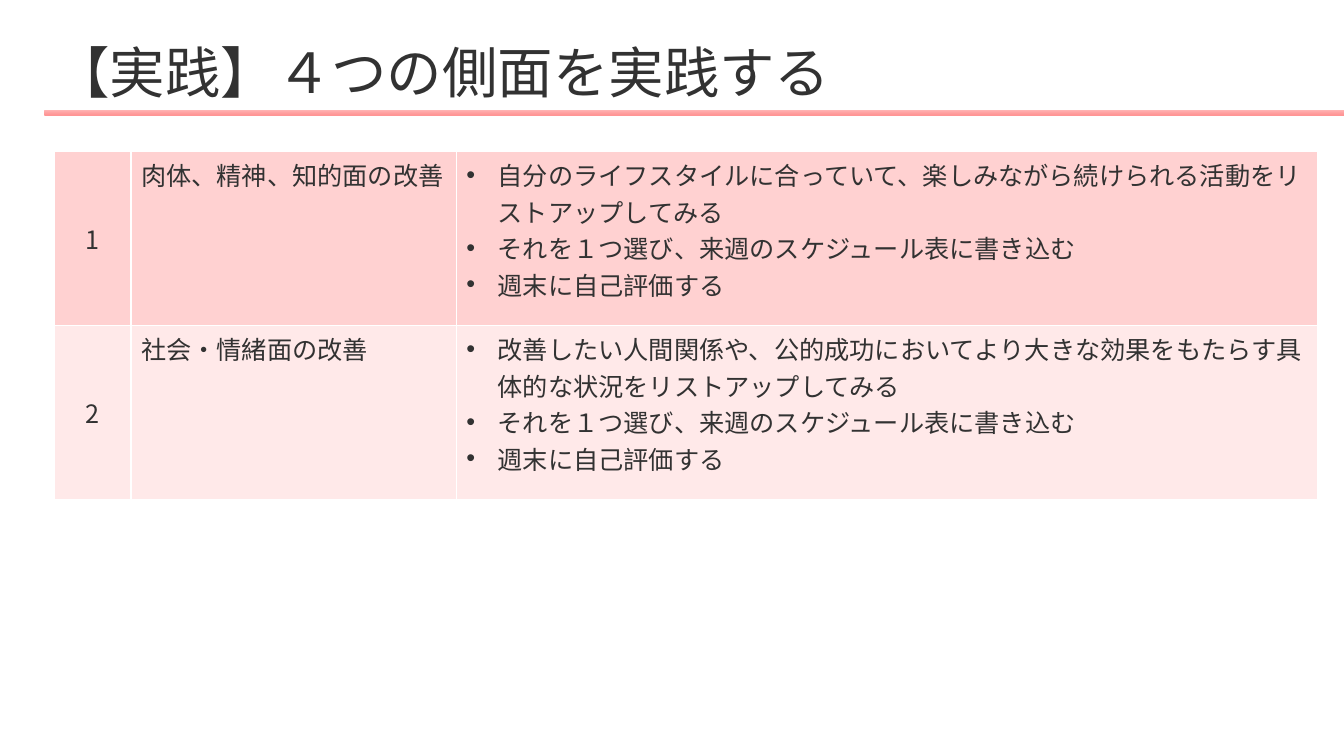
from dataclasses import dataclass

from lxml import etree
from pptx import Presentation
from pptx.dml.color import RGBColor
from pptx.enum.shapes import MSO_SHAPE
from pptx.enum.text import MSO_ANCHOR, PP_ALIGN
from pptx.oxml.ns import qn
from pptx.util import Cm, Pt

RECTANGLE = MSO_SHAPE.RECTANGLE
TOP, MIDDLE = MSO_ANCHOR.TOP, MSO_ANCHOR.MIDDLE
LEFT, CENTER = PP_ALIGN.LEFT, PP_ALIGN.CENTER
BLANK_LAYOUT = 6


@dataclass(frozen=True)
class Theme:
    font: str = "Noto Sans CJK JP"
    text: str = "323232"
    rule_top: str = "FFB4B4"
    rule_bottom: str = "FF9595"
    row_fills: tuple = ("FFD1D1", "FFE9E9")
    border: str = "FFFFFF"
    title_size: float = 39.6
    body_size: float = 18


THEME = Theme()

TITLE = "【実践】４つの側面を実践する"
COMMON_STEPS = ["それを１つ選び、来週のスケジュール表に書き込む", "週末に自己評価する"]
PRACTICES = [
    ("肉体、精神、知的面の改善",
     "自分のライフスタイルに合っていて、楽しみながら続けられる活動をリストアップしてみる"),
    ("社会・情緒面の改善",
     "改善したい人間関係や、公的成功においてより大きな効果をもたらす具体的な状況をリストアップしてみる"),
]


def add_run(paragraph, text, size):
    run = paragraph.add_run()
    run.text = text
    run.font.size = Pt(size)
    run.font.name = THEME.font
    run.font.color.rgb = RGBColor.from_string(THEME.text)
    east_asian = etree.SubElement(run.font._element, qn("a:ea"))
    east_asian.set("typeface", THEME.font)


def add_bullet(paragraph):
    properties = paragraph._p.get_or_add_pPr()
    indent = Cm(0.79)
    properties.set("marL", str(indent))
    properties.set("indent", str(-indent))
    etree.SubElement(properties, qn("a:buFont")).set("typeface", "Arial")
    etree.SubElement(properties, qn("a:buChar")).set("char", "•")


def add_borders(cell):
    properties = cell._tc.get_or_add_tcPr()
    for side in ("a:lnL", "a:lnR", "a:lnT", "a:lnB"):
        line = etree.SubElement(properties, qn(side), w=str(Pt(1)))
        fill = etree.SubElement(line, qn("a:solidFill"))
        etree.SubElement(fill, qn("a:srgbClr"), val=THEME.border)


def fill_cell(cell, lines, color, anchor=TOP, alignment=LEFT, bulleted=False):
    add_borders(cell)
    cell.fill.solid()
    cell.fill.fore_color.rgb = RGBColor.from_string(color)
    cell.vertical_anchor = anchor
    frame = cell.text_frame
    for index, line in enumerate(lines):
        paragraph = frame.add_paragraph() if index else frame.paragraphs[0]
        paragraph.alignment = alignment
        if bulleted:
            add_bullet(paragraph)
        add_run(paragraph, line, THEME.body_size)


def add_heading(slide, left, top, width, height):
    # Rule below the title, running to the right edge of the slide
    rule = slide.shapes.add_shape(
        RECTANGLE, left, top + Cm(1.78), width, Cm(0.13))
    rule.shadow.inherit = False
    rule.line.fill.background()
    rule.fill.gradient()
    rule.fill.gradient_angle = 270
    for stop, color in zip(rule.fill.gradient_stops,
                           (THEME.rule_top, THEME.rule_bottom)):
        stop.color.rgb = RGBColor.from_string(color)

    # Title text
    title = slide.shapes.add_textbox(left, top, width - Cm(0.92), height)
    frame = title.text_frame
    frame.word_wrap = True
    frame.vertical_anchor = MIDDLE
    paragraph = frame.paragraphs[0]
    paragraph.line_spacing = 0.9
    add_run(paragraph, TITLE, THEME.title_size)


def add_practice_table(slide, left, top, width, height):
    table = slide.shapes.add_table(
        len(PRACTICES), 3, left, top, width, height).table
    table.first_row = False
    table.horz_banding = False

    # The last column takes the width that is left
    number_width, aspect_width = Cm(1.92), Cm(8.2)
    widths = (number_width, aspect_width, width - number_width - aspect_width)
    for column, column_width in zip(table.columns, widths):
        column.width = column_width

    # One row for each practice
    for index, (aspect, first_step) in enumerate(PRACTICES):
        color = THEME.row_fills[index]
        number_cell, aspect_cell, steps_cell = table.rows[index].cells
        fill_cell(number_cell, [str(index + 1)], color, MIDDLE, CENTER)
        fill_cell(aspect_cell, [aspect], color)
        fill_cell(steps_cell, [first_step] + COMMON_STEPS, color, bulleted=True)


def main():
    presentation = Presentation()
    presentation.slide_width = Cm(33.87)
    presentation.slide_height = Cm(19.05)
    slide = presentation.slides.add_slide(
        presentation.slide_layouts[BLANK_LAYOUT])
    heading_left = Cm(1.12)
    add_heading(slide, heading_left, Cm(0.99),
                presentation.slide_width - heading_left, Cm(1.85))
    add_practice_table(slide, Cm(1.38), Cm(3.82), Cm(31.82), Cm(8.76))
    presentation.save("out.pptx")


if __name__ == "__main__":
    main()
